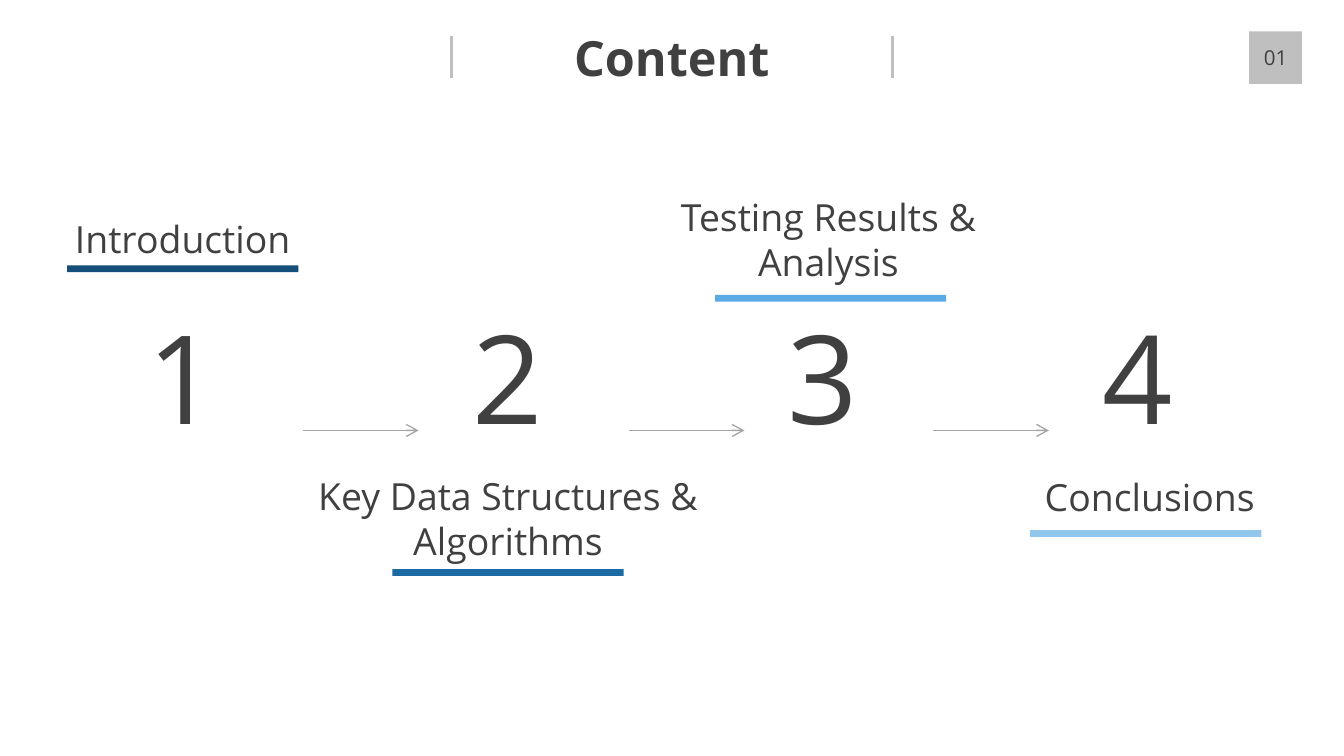
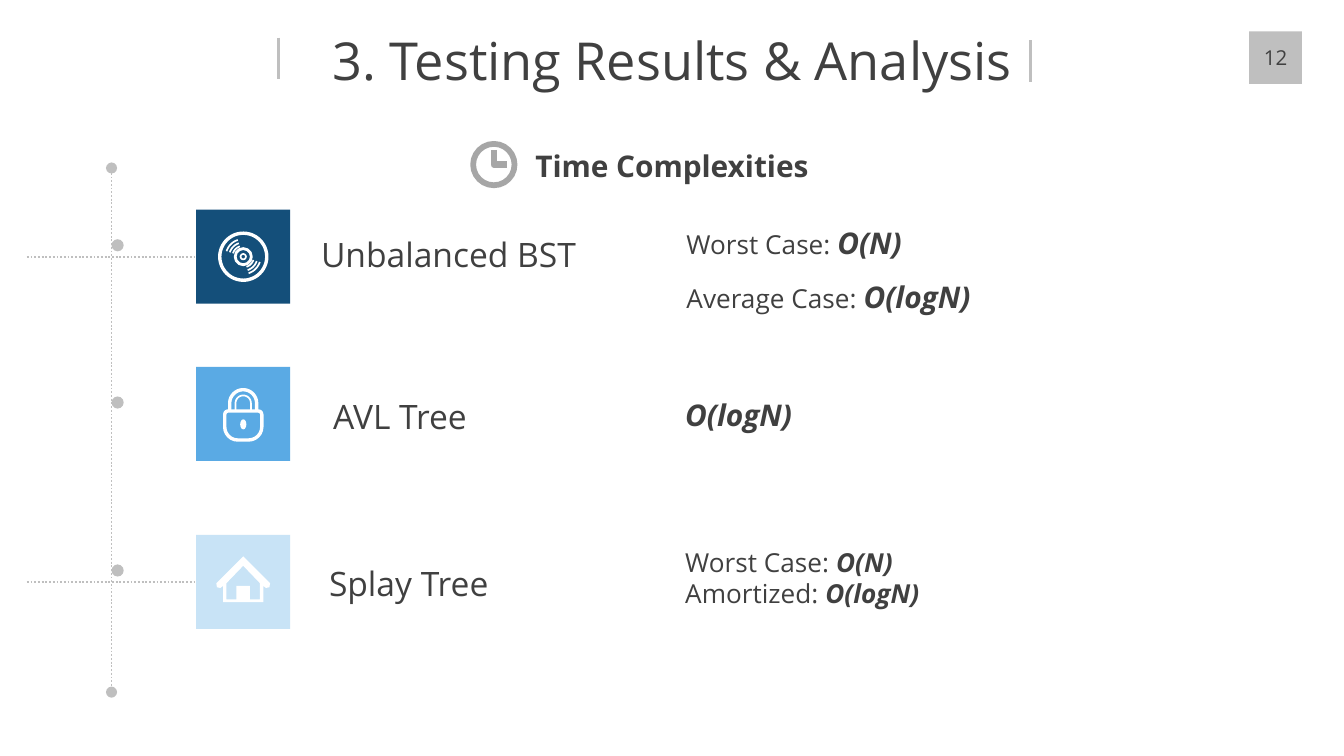
from dataclasses import dataclass
from math import cos, radians, sin
from typing import Callable, NamedTuple, Optional, Sequence, Union

from lxml.etree import SubElement
from pptx import Presentation
from pptx.dml.color import RGBColor
from pptx.enum.dml import MSO_LINE
from pptx.enum.shapes import MSO_CONNECTOR, MSO_SHAPE as Preset
from pptx.enum.text import MSO_ANCHOR, MSO_AUTO_SIZE as AutoSize, PP_ALIGN as Align
from pptx.oxml.ns import qn
from pptx.util import Inches, Pt

# Grid: 100 columns across a 16:9 slide; rows are as tall as columns are wide
WIDTH = Inches(10)
HEIGHT = WIDTH * 9 // 16
CELL = WIDTH // 100

FONT = "Open Sans"
INK, GREY, MID_GREY, WHITE = "404040", "BFBFBF", "A6A6A6", "FFFFFF"
NAVY, BLUE, SKY, PALE, ICE = "144F7A", "1B6AA3", "5AAAE4", "91C6ED", "C8E3F6"


class Point(NamedTuple):
    col: float
    row: float


class Box(NamedTuple):
    col: float
    row: float
    cols: float
    rows: float


class Span(NamedTuple):
    text: str
    strong: bool = False


Line = Union[str, Sequence[Span]]


def cells(*counts: float) -> list[int]:
    return [round(count * CELL) for count in counts]


def rgb(color: str) -> RGBColor:
    return RGBColor.from_string(color)


def around(center: Point, size: float) -> Box:
    return Box(center.col - size / 2, center.row - size / 2, size, size)


def arc(radius: float, start: int, end: int) -> list[Point]:
    return [Point(radius * cos(radians(a)), radius * sin(radians(a)))
            for a in range(start, end + 1, 6)]


# Drawing tools
def fill_text(frame, lines: Sequence[Line], *, size: float, strong_size: Optional[float] = None,
              bold: bool = False, italic: bool = False, align=Align.LEFT,
              spacing: Optional[float] = None) -> None:
    for index, line in enumerate(lines):
        paragraph = frame.add_paragraph() if index else frame.paragraphs[0]
        paragraph.alignment = align
        if spacing:
            paragraph.line_spacing = spacing
        for span in [Span(line)] if isinstance(line, str) else line:
            run = paragraph.add_run()
            run.text = span.text
            font = run.font
            font.name, font.color.rgb = FONT, rgb(INK)
            font.size = Pt(strong_size if span.strong and strong_size else size)
            font.bold, font.italic = bold or span.strong, italic or span.strong


def write(slide, box: Box, *lines: Line, wrap: bool = True, **style) -> None:
    frame = slide.shapes.add_textbox(*cells(*box)).text_frame
    frame.word_wrap = wrap
    frame.auto_size = AutoSize.SHAPE_TO_FIT_TEXT
    fill_text(frame, lines, **style)


def paint(shape, fill: Optional[str], line: Optional[str] = None, weight: float = 1) -> None:
    shape.shadow.inherit = False
    if fill:
        shape.fill.solid()
        shape.fill.fore_color.rgb = rgb(fill)
    else:
        shape.fill.background()
    if line:
        shape.line.color.rgb = rgb(line)
        shape.line.width = Pt(weight)
    else:
        shape.line.fill.background()


def block(slide, box: Box, fill: Optional[str], preset=Preset.RECTANGLE,
          line: Optional[str] = None, weight: float = 1):
    shape = slide.shapes.add_shape(preset, *cells(*box))
    paint(shape, fill, line, weight)
    return shape


def ring(slide, center: Point, size: float, weight: float, color: str = WHITE) -> None:
    block(slide, around(center, size), None, Preset.OVAL, color, weight)


def outline(slide, center: Point, *contours: Sequence[Point], fill: Optional[str] = None,
            line: Optional[str] = None, weight: float = 1) -> None:
    """Draw contours given as offsets from a center; filled ones are closed."""
    placed = [[tuple(cells(center.col + x, center.row + y)) for x, y in contour]
              for contour in contours]
    builder = slide.shapes.build_freeform(*placed[0][0])
    for index, contour in enumerate(placed):
        if index:
            builder.move_to(*contour[0])
        builder.add_line_segments(contour[1:], close=fill is not None)
    paint(builder.convert_to_shape(), fill, line, weight)


def connect(slide, start: Point, end: Point, color: str, weight: float, *,
            dotted: bool = False, head: str = "", tail: str = ""):
    connector = slide.shapes.add_connector(MSO_CONNECTOR.STRAIGHT, *cells(*start, *end))
    connector.line.color.rgb = rgb(color)
    connector.line.width = Pt(weight)
    if dotted:
        connector.line.dash_style = MSO_LINE.ROUND_DOT
    properties = connector._element.spPr
    for tag, kind in (("a:headEnd", head), ("a:tailEnd", tail)):
        if kind:
            SubElement(properties.get_or_add_ln(), qn(tag)).set("type", kind)
    SubElement(properties, qn("a:effectLst"))
    return connector


# Shared header: title between two ticks, page number at the right
def header(slide, title: str, page: str, ticks: Sequence[Point], *,
           size: float, bold: bool = False) -> None:
    write(slide, Box(9.35, 1.6, 81.3, 5.4), title, size=size, bold=bold, align=Align.CENTER)
    for tick in ticks:
        connect(slide, tick, Point(tick.col, tick.row + 3.1), GREY, 1.5)
    frame = block(slide, Box(92.95, 2.33, 3.92, 3.92), GREY).text_frame
    frame.margin_left = frame.margin_right = 0
    frame.vertical_anchor = MSO_ANCHOR.MIDDLE
    fill_text(frame, [page], size=11, align=Align.CENTER)


# Icons, as offsets from the center of their tile
def disc_icon(slide, center: Point) -> None:
    for size, weight in ((3.5, 1.8), (1.2, 1.5), (0.4, 0.9)):
        ring(slide, center, size, weight)
    for radius in (0.8, 1.05, 1.3):
        for start in (18, 198):
            outline(slide, center, arc(radius, start, start + 54), line=WHITE, weight=0.9)


def lock_icon(slide, center: Point) -> None:
    col, row = center
    body = block(slide, Box(col - 1.38, row - 0.22, 2.76, 2.16), None,
                 Preset.ROUND_2_SAME_RECTANGLE, WHITE, 1.8)
    body.adjustments[0], body.adjustments[1] = 0.12, 0.45
    for radius, weight in ((1, 1.8), (0.57, 0.9)):
        shackle = [Point(-radius, 0.5), *arc(radius, 180, 360), Point(radius, 0.5)]
        outline(slide, Point(col, row - 0.8), shackle, line=WHITE, weight=weight)
    block(slide, Box(col - 0.23, row + 0.4, 0.46, 0.75), WHITE, Preset.OVAL)


def house_icon(slide, center: Point) -> None:
    def mirrored(*half: tuple[float, float]) -> list[Point]:
        return [Point(x, y) for x, y in half] + [Point(-x, y) for x, y in reversed(half)]

    walls = mirrored((0, -1.9), (-2, 0.1), (-1.95, 0.4), (-1.7, 0.45), (-1.5, 0.3), (-1.5, 1.5))
    inside = mirrored((0, -1.2), (-1.25, 0.1), (-1.25, 1.3), (-0.5, 1.3), (-0.5, 0.3))
    outline(slide, center, walls, inside, fill=WHITE)


def clock_icon(slide, center: Point) -> None:
    ring(slide, center, 3.08, 3.1, MID_GREY)
    hands = [Point(0, -1.1), Point(0, 0), Point(1, 0)]
    outline(slide, center, hands, line=MID_GREY, weight=3.4)


@dataclass(frozen=True)
class Step:
    number_col: float
    label: Box
    lines: tuple[str, ...]
    bar: Point
    color: str
    arrow_col: Optional[float] = None


STEPS = (
    Step(9.55, Box(4.5, 15.6, 18.2, 4.4), ("Introduction",), Point(5, 19.75), NAVY, 22.55),
    Step(33.75, Box(22.55, 34.7, 30.5, 7.7), ("Key Data Structures &", "Algorithms"),
         Point(29.2, 42.35), BLUE, 46.8),
    Step(57.2, Box(49.6, 13.95, 24.1, 7.7), ("Testing Results &", "Analysis"),
         Point(53.2, 21.95), SKY, 69.45),
    Step(80.6, Box(76.7, 34.8, 17.7, 4.4), ("Conclusions",), Point(76.65, 39.45), PALE),
)


@dataclass(frozen=True)
class Tree:
    name: str
    name_at: Box
    tile_row: float
    color: str
    icon: Callable[..., None]
    costs_at: Box
    costs: tuple[Line, ...]
    strong_size: float = 16
    spacing: Optional[float] = None
    branch: bool = True


TREES = (
    Tree("Unbalanced BST", Box(22.9, 16.9, 21.2, 4), 15.6, NAVY, disc_icon,
         Box(50.1, 14.9, 42.4, 8.6),
         ((Span("Worst Case: "), Span("O(N)", True)),
          (Span("Average Case: "), Span("O(logN)", True))), spacing=1.5),
    Tree("AVL Tree", Box(23.8, 29, 12.1, 4), 27.3, SKY, lock_icon,
         Box(50, 29.05, 28.9, 3.7), ((Span("O(logN)", True),),), branch=False),
    Tree("Splay Tree", Box(23.5, 41.4, 14, 4), 39.8, ICE, house_icon,
         Box(50, 40.15, 28.9, 5.7),
         ((Span("Worst Case: "), Span("O(N)", True)),
          (Span("Amortized: "), Span("O(logN)", True))), strong_size=14),
)


def content_slide(slide) -> None:
    header(slide, "Content", "01", (Point(33.6, 2.7), Point(66.4, 2.7)), size=26, bold=True)
    for number, step in enumerate(STEPS, 1):
        write(slide, Box(step.number_col, 21.9, 8.1, 12.1), str(number),
              size=66, align=Align.CENTER)
        write(slide, step.label, *step.lines, size=20, align=Align.CENTER, wrap=False)
        block(slide, Box(*step.bar, 17.2, 0.5), step.color)
        if step.arrow_col:
            connect(slide, Point(step.arrow_col, 32.03), Point(step.arrow_col + 8.6, 32.03),
                    MID_GREY, 0.75, tail="arrow")


def complexity_slide(slide) -> None:
    header(slide, "3. Testing Results & Analysis", "12",
           (Point(20.7, 2.8), Point(76.7, 3)), size=28)
    write(slide, Box(9.35, 10.5, 81.3, 3.7), "Time Complexities",
          size=16, bold=True, align=Align.CENTER)
    clock_icon(slide, Point(36.75, 12.25))

    # Dotted trunk with a branch to the outer tiles
    trunk_col, tile_col, tile_size = 8.3, 14.6, 7
    connect(slide, Point(trunk_col, 12.5), Point(trunk_col, 51.5), GREY, 1,
            dotted=True, head="oval", tail="oval")
    for tree in TREES:
        center = Point(tile_col + tile_size / 2, tree.tile_row + tile_size / 2)
        tile = block(slide, around(center, tile_size), tree.color)
        if tree.branch:
            branch = connect(slide, Point(2, center.row), Point(tile_col, center.row),
                             GREY, 1, dotted=True)
            branch.end_connect(tile, 1)
        block(slide, Box(trunk_col, tree.tile_row + 2.2, 0.9, 0.9), GREY, Preset.OVAL)
        tree.icon(slide, center)
        write(slide, tree.name_at, tree.name, size=18, wrap=False)
        write(slide, tree.costs_at, *tree.costs, size=14,
              strong_size=tree.strong_size, spacing=tree.spacing)


def main() -> None:
    deck = Presentation()
    deck.slide_width, deck.slide_height = WIDTH, HEIGHT
    for build in (content_slide, complexity_slide):
        build(deck.slides.add_slide(deck.slide_layouts[6]))
    deck.save("out.pptx")


if __name__ == "__main__":
    main()
